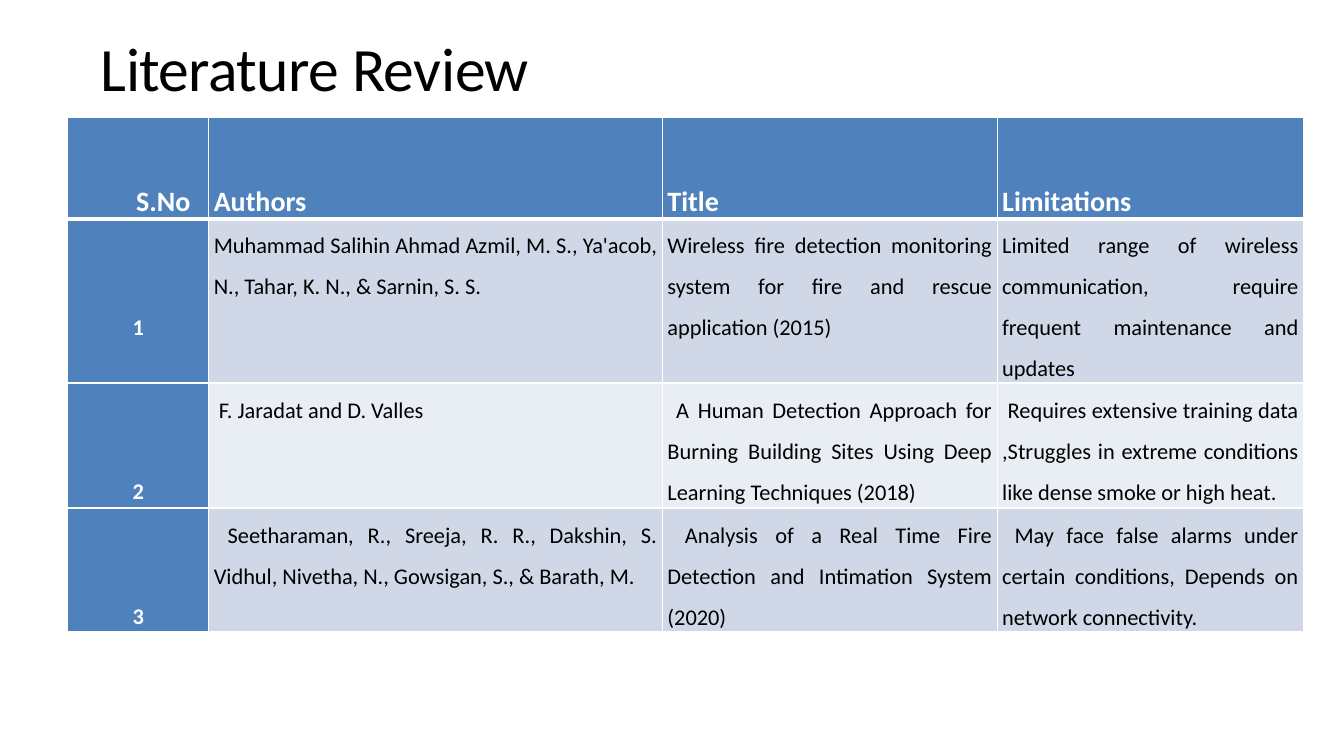
import pptx
import pptx.dml.color
import pptx.enum.text
import pptx.util
import lxml.etree

Inches, Pt = pptx.util.Inches, pptx.util.Pt
ALIGN = pptx.enum.text.PP_ALIGN
ANCHOR = pptx.enum.text.MSO_ANCHOR
A = "{http://schemas.openxmlformats.org/drawingml/2006/main}"

BLUE, WHITE, BLACK = "4F81BD", "FFFFFF", "000000"
BANDS = ["D0D8E8", "E9EDF4"]
COL_WIDTHS = [1.4, 4.5, 3.32, 3.04]
ROW_HEIGHTS = [1.01, 1.63, 1.24, 1.23]
HEADERS = ["S.No", "Authors", "Title", "Limitations"]
PAPERS = [
    ["1",
     "Muhammad Salihin Ahmad Azmil, M. S., Ya'acob, N., Tahar, K. N., & Sarnin, S. S.",
     "Wireless fire detection monitoring system for fire and rescue application (2015)",
     "Limited range of wireless communication, require frequent maintenance and updates"],
    ["2",
     " F. Jaradat and D. Valles",
     " A Human Detection Approach for Burning Building Sites Using Deep Learning Techniques (2018)",
     " Requires extensive training data ,Struggles in extreme conditions like dense smoke or high heat."],
    ["3",
     " Seetharaman, R., Sreeja, R. R., Dakshin, S. Vidhul, Nivetha, N., Gowsigan, S., & Barath, M.",
     " Analysis of a Real Time Fire Detection and Intimation System (2020)",
     " May face false alarms under certain conditions, Depends on network connectivity."],
]


def rgb(color):
    return pptx.dml.color.RGBColor.from_string(color)


def add_run(p, text, size, color, bold=False):
    r = p.add_run()
    r.text = text
    r.font.name = "Calibri"
    r.font.size = Pt(size)
    r.font.bold = bold
    r.font.color.rgb = rgb(color)
    return r


def add_title(s, left, top, width, height):
    sp = s.shapes.title
    sp.left, sp.top = Inches(left), Inches(top)
    sp.width, sp.height = Inches(width), Inches(height)
    tf = sp.text_frame
    tf.margin_left = tf.margin_top = tf.margin_right = tf.margin_bottom = 0
    tf.vertical_anchor = ANCHOR.TOP
    p = tf.paragraphs[0]
    p.alignment = ALIGN.LEFT
    for text, spacing in [("Literature ", -50), ("Review", -30)]:
        r = add_run(p, text, 44, BLACK)
        r._r.get_or_add_rPr().set("spc", str(spacing))


def set_borders(cell, **widths):
    """Draw white borders; widths are points by side: L, R, T, B."""
    tc_pr = cell._tc.get_or_add_tcPr()
    for side, width in widths.items():
        ln = lxml.etree.SubElement(tc_pr, f"{A}ln{side}", w=str(Pt(width)))
        fill = lxml.etree.SubElement(ln, f"{A}solidFill")
        lxml.etree.SubElement(fill, f"{A}srgbClr", val=WHITE)


def fill_cell(cell, text, row, col):
    header, number = row == 0, row > 0 and col == 0
    set_borders(cell, L=1, R=1, T=3 if row == 1 else 1, B=3 if header else 1)
    cell.fill.solid()
    cell.fill.fore_color.rgb = rgb(BLUE if header or number else BANDS[(row - 1) % 2])
    cell.margin_left = Inches(0.68 if header and col == 0 else 0.05)
    cell.margin_right = Inches(0.05)
    cell.margin_top = Inches(0.81 if number else 0)
    cell.margin_bottom = 0
    cell.vertical_anchor = ANCHOR.BOTTOM if header else ANCHOR.TOP
    p = cell.text_frame.paragraphs[0]
    p.alignment = ALIGN.CENTER if number else ALIGN.JUSTIFY
    p.line_spacing = 1.5
    strong = header or number
    add_run(p, text, 20 if header else 16, WHITE if strong else BLACK, strong)


def add_review_table(s, left, top):
    rows = [HEADERS] + PAPERS
    frame = s.shapes.add_table(len(rows), len(HEADERS), Inches(left), Inches(top),
                               Inches(sum(COL_WIDTHS)), Inches(sum(ROW_HEIGHTS)))
    table = frame.table
    for column, width in zip(table.columns, COL_WIDTHS):
        column.width = Inches(width)
    for i, (height, texts) in enumerate(zip(ROW_HEIGHTS, rows)):
        table.rows[i].height = Inches(height)
        for j, text in enumerate(texts):
            fill_cell(table.cell(i, j), text, i, j)


def main():
    prs = pptx.Presentation()
    prs.slide_width, prs.slide_height = Inches(13.33), Inches(7.5)
    s = prs.slides.add_slide(prs.slide_layouts[5])
    add_title(s, 1, 0.3, 9.78, 0.74)
    add_review_table(s, 0.67, 1.16)
    prs.save("out.pptx")


if __name__ == "__main__":
    main()
